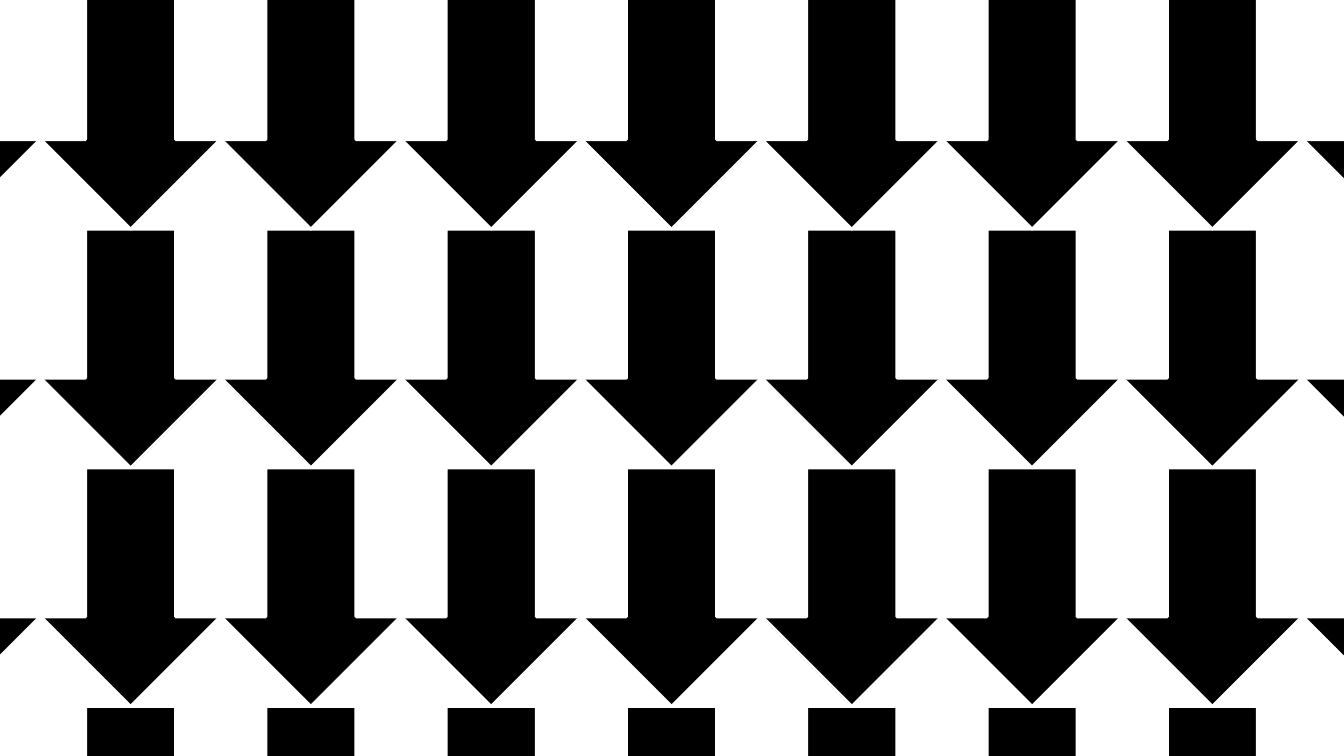
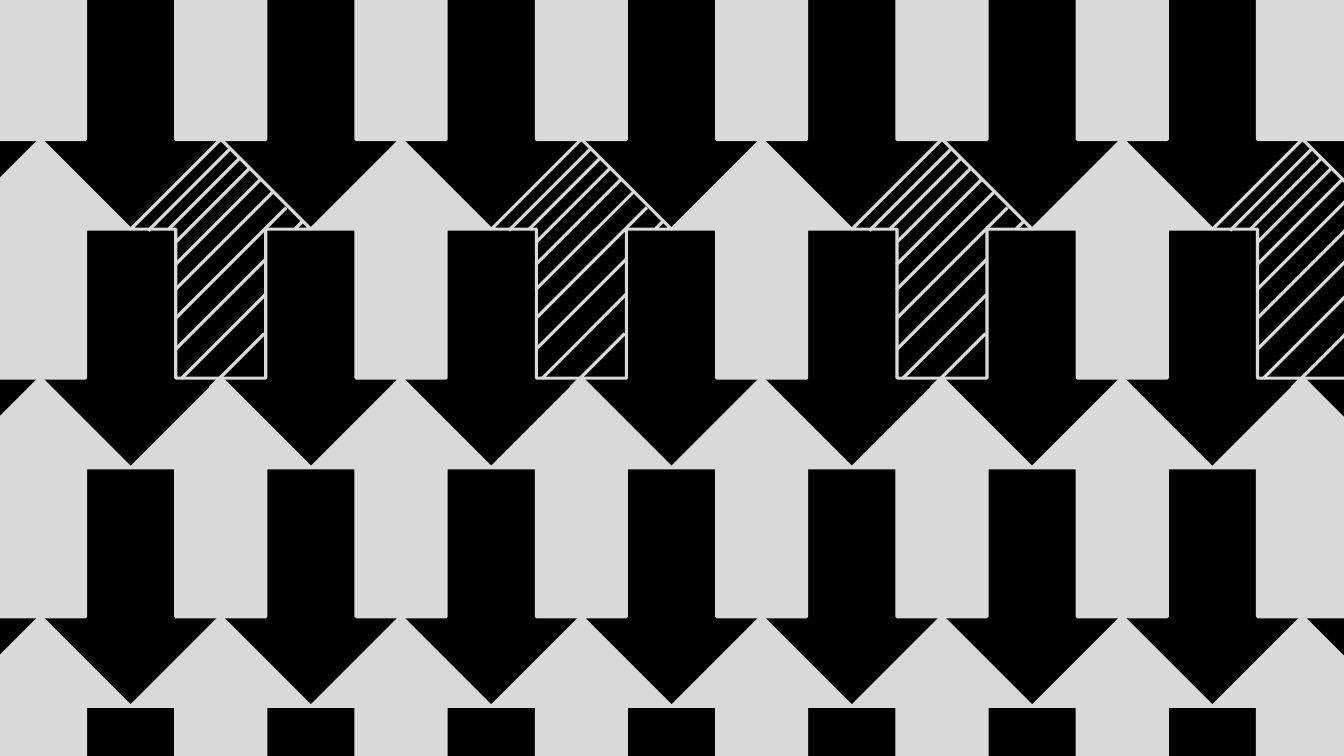
from lxml import etree
from pptx import Presentation
from pptx.dml.color import RGBColor
from pptx.enum.shapes import MSO_CONNECTOR, MSO_SHAPE
from pptx.oxml.ns import qn
from pptx.util import Emu, Pt

# Shared style
W, H = 1344, 756
SCALE = 914400 / 100.8
BLACK, WHITE, GREY = "000000", "FFFFFF", "D9D9D9"
LINE_WIDTH = 2.25

# Arrow grid: box before rotation, first corner and pitch
ARROW_W, ARROW_H = 239, 180
LEFT, TOP = -79, -70
COL_PITCH, ROW_PITCH = 180.3, 238.6
COLS, ROWS = 8, 4
HATCH_ROW = 1

# Diagonal hatch lines: upper right end within the arrow box, and drop
HATCH = [(129, -20, 82), (138, -10, 71), (148, 0, 73), (159, 11, 85),
         (171, 24, 97), (185, 39, 111), (164, 91, 90), (164, 126, 84),
         (163, 165, 54), (202, 52, 8)]


def px(n):
    return Emu(round(n * SCALE))


def color(value):
    return RGBColor.from_string(value)


class Deck:
    def __init__(self):
        self.prs = Presentation()
        self.prs.slide_width, self.prs.slide_height = px(W), px(H)
        self.s = None

    def slide(self, background):
        self.s = self.prs.slides.add_slide(self.prs.slide_layouts[6])
        fill = self.s.background.fill
        fill.solid()
        fill.fore_color.rgb = color(background)

    def shape(self, kind, x, y, w, h, fill=None, line=None, parent=None):
        sp = (parent or self.s).shapes.add_shape(kind, px(x), px(y), px(w), px(h))
        sp.shadow.inherit = False
        if fill:
            sp.fill.solid()
            sp.fill.fore_color.rgb = color(fill)
        else:
            sp.fill.background()
        if line:
            sp.line.color.rgb = color(line)
            sp.line.width = Pt(LINE_WIDTH)
        else:
            sp.line.fill.background()
        return sp

    def line(self, x1, y1, x2, y2, line, parent):
        cx = parent.shapes.add_connector(
            MSO_CONNECTOR.STRAIGHT, px(x1), px(y1), px(x2), px(y2))
        cx.line.color.rgb = color(line)
        cx.line.width = Pt(LINE_WIDTH)
        etree.SubElement(cx._element.spPr, qn("a:effectLst"))

    def arrow(self, x, y, line, fill=None, parent=None):
        sp = self.shape(MSO_SHAPE.RIGHT_ARROW, x, y, ARROW_W, ARROW_H,
                        fill, line, parent)
        sp.rotation = 270

    def hatched_arrow(self, x, y, line):
        group = self.s.shapes.add_group_shape()
        self.arrow(x, y, line, parent=group)
        for dx, dy, drop in HATCH:
            if x + dx - drop < W:
                self.line(x + dx, y + dy, x + dx - drop, y + dy + drop, line, group)

    def arrow_grid(self, fill, hatched_cols=()):
        hatched = []
        for row in range(ROWS):
            for col in range(COLS):
                x, y = LEFT + col * COL_PITCH, TOP + row * ROW_PITCH
                if row == HATCH_ROW and col in hatched_cols:
                    hatched.append((x, y))
                else:
                    self.arrow(x, y, fill, fill)
        for x, y in hatched:
            self.hatched_arrow(x, y, fill)


deck = Deck()

# Slide 1: white arrows on a black panel
deck.slide(WHITE)
deck.shape(MSO_SHAPE.RECTANGLE, 0, 0, W, H, BLACK)
deck.arrow_grid(WHITE)

# Slide 2: grey arrows, every other one in the second row hatched
deck.slide(BLACK)
deck.arrow_grid(GREY, range(1, COLS, 2))

deck.prs.save("out.pptx")
